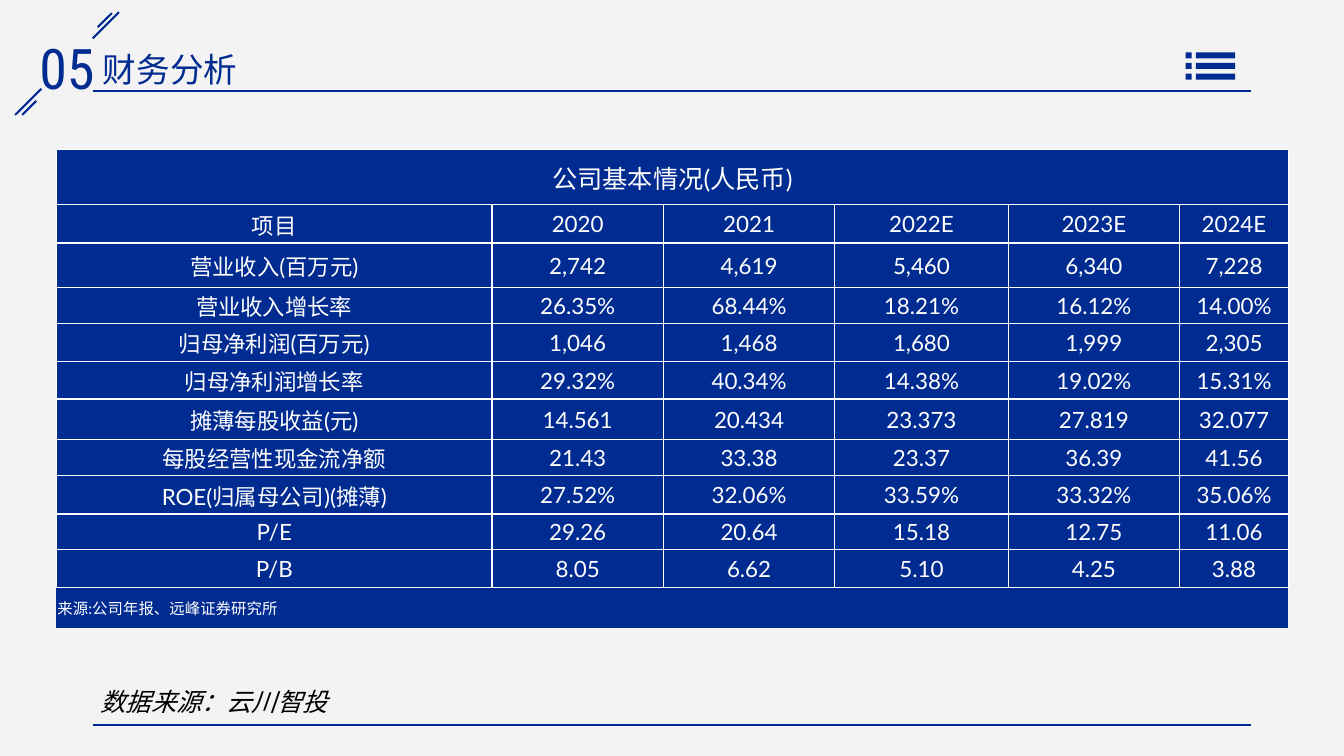
from pptx import Presentation
from pptx.dml.color import RGBColor
from pptx.enum.shapes import MSO_CONNECTOR, MSO_SHAPE
from pptx.enum.text import MSO_ANCHOR, PP_ALIGN
from pptx.oxml import parse_xml
from pptx.oxml.ns import nsdecls, qn
from pptx.util import Inches, Pt
from lxml import etree

STRAIGHT, RECTANGLE = MSO_CONNECTOR.STRAIGHT, MSO_SHAPE.RECTANGLE
TOP, MIDDLE = MSO_ANCHOR.TOP, MSO_ANCHOR.MIDDLE
LEFT, CENTER = PP_ALIGN.LEFT, PP_ALIGN.CENTER

WIDTH, HEIGHT = 13.33, 7.5
COLORS = {"navy": "002B91", "white": "FFFFFF", "paper": "F3F3F3", "black": "000000"}
CJK = "Noto Sans CJK SC"
RULE_LEFT, RULE_RIGHT = 0.92, 12.41

COLUMNS = [4.32, 1.7, 1.7, 1.72, 1.7, 1.08]
ROWS = [0.55, 0.38, 0.44, 0.36, 0.38, 0.37, 0.4, 0.36, 0.38, 0.35, 0.38, 0.4]
TABLE_TITLE = "公司基本情况(人民币)"
TABLE_SOURCE = "来源:公司年报、远峰证券研究所"
FIGURES = [
    ["项目", "2020", "2021", "2022E", "2023E", "2024E"],
    ["营业收入(百万元)", "2,742", "4,619", "5,460", "6,340", "7,228"],
    ["营业收入增长率", "26.35%", "68.44%", "18.21%", "16.12%", "14.00%"],
    ["归母净利润(百万元)", "1,046", "1,468", "1,680", "1,999", "2,305"],
    ["归母净利润增长率", "29.32%", "40.34%", "14.38%", "19.02%", "15.31%"],
    ["摊薄每股收益(元)", "14.561", "20.434", "23.373", "27.819", "32.077"],
    ["每股经营性现金流净额", "21.43", "33.38", "23.37", "36.39", "41.56"],
    ["ROE(归属母公司)(摊薄)", "27.52%", "32.06%", "33.59%", "33.32%", "35.06%"],
    ["P/E", "29.26", "20.64", "15.18", "12.75", "11.06"],
    ["P/B", "8.05", "6.62", "5.10", "4.25", "3.88"],
]


def rgb(name):
    return RGBColor.from_string(COLORS[name])


def write(frame, text, color, align=LEFT, spacing=None, **font):
    """Fill a text frame with one formatted paragraph."""
    para = frame.paragraphs[0]
    para.alignment = align
    if spacing:
        para.line_spacing = spacing
    span = para.add_run()
    span.text = text
    for name, value in font.items():
        setattr(span.font, name, value)
    span.font.color.rgb = rgb(color)
    east_asian = etree.SubElement(span._r.get_or_add_rPr(), qn("a:ea"))
    east_asian.set("typeface", CJK)


def add_text(page, box, text, color, **style):
    frame = page.shapes.add_textbox(*map(Inches, box)).text_frame
    frame.word_wrap = True
    frame.vertical_anchor = TOP
    write(frame, text, color, **style)


def add_line(page, start, end):
    line = page.shapes.add_connector(STRAIGHT, *map(Inches, start + end))
    line.line.color.rgb = rgb("navy")
    line.line.width = Pt(1.5)
    etree.SubElement(line._element.spPr, qn("a:effectLst"))


def add_rule(page, y):
    add_line(page, (RULE_LEFT, y), (RULE_RIGHT, y))


def add_slash(page, left, bottom, size):
    """Draw a 45 degree stroke rising from its lower left end."""
    add_line(page, (left + size, bottom - size), (left, bottom))


def add_header(page, left, top):
    # Section number with paired strokes at two corners
    add_text(page, (left, top, 0.83, 0.77), "05", "navy", align=CENTER,
             size=Pt(40), name="Roboto Condensed")
    for dx, dy, size in [(0.67, 0.1, 0.26), (0.72, -0.01, 0.14),
                         (-0.1, 0.86, 0.26), (-0.03, 0.86, 0.14)]:
        add_slash(page, left + dx, top + dy, size)

    # Title and rule
    title = page.shapes.title
    place = dict(left=left + 0.67, top=top + 0.1, width=3.76, height=0.54)
    for name, value in place.items():
        setattr(title, name, Inches(value))
    title.text_frame.vertical_anchor = MIDDLE
    write(title.text_frame, "财务分析", "navy", spacing=1.2, size=Pt(24), name=CJK)
    add_rule(page, top + 0.62)


def add_menu_icon(page, left, top):
    """Three rows, each a square bullet and a bar."""
    for row in range(3):
        for dx, width in [(0, 0.06), (0.1, 0.39)]:
            box = (left + dx, top + row * 0.105, width, 0.06)
            bar = page.shapes.add_shape(RECTANGLE, *map(Inches, box))
            bar.shadow.inherit = False
            bar.fill.solid()
            bar.fill.fore_color.rgb = rgb("navy")
            bar.line.fill.background()


def set_borders(cell, sides):
    properties = cell._tc.get_or_add_tcPr()
    for index, side in enumerate(("L", "R", "T", "B")):
        paint = (f'<a:solidFill><a:srgbClr val="{COLORS["white"]}"/></a:solidFill>'
                 if side in sides else "<a:noFill/>")
        border = parse_xml(f'<a:ln{side} {nsdecls("a")} w="12700">{paint}</a:ln{side}>')
        properties.insert(index, border)


def format_cell(cell, borders):
    margins = dict(margin_left=0.01, margin_right=0.01, margin_top=0.01, margin_bottom=0)
    for name, value in margins.items():
        setattr(cell, name, Inches(value))
    cell.vertical_anchor = MIDDLE
    cell.fill.solid()
    cell.fill.fore_color.rgb = rgb("navy")
    set_borders(cell, borders)


def add_figures(page, left, top):
    box = (left, top, sum(COLUMNS), sum(ROWS))
    table = page.shapes.add_table(len(ROWS), len(COLUMNS), *map(Inches, box)).table
    table.first_row = table.horz_banding = False
    for column, width in zip(table.columns, COLUMNS):
        column.width = Inches(width)
    for row, height in zip(table.rows, ROWS):
        row.height = Inches(height)

    # Full-width first and last rows
    last = len(ROWS) - 1
    for row in (0, last):
        table.cell(row, 0).merge(table.cell(row, len(COLUMNS) - 1))

    lines = [[TABLE_TITLE]] + FIGURES + [[TABLE_SOURCE]]
    for row, line in enumerate(lines):
        for column in range(len(COLUMNS)):
            format_cell(table.cell(row, column), "T" if row == last else "LRTB")
        size = {0: 18, last: 11}.get(row, 16)
        for column, text in enumerate(line):
            write(table.cell(row, column).text_frame, text, "white",
                  align=LEFT if row == last else CENTER, size=Pt(size), name="Lato")


def add_footer(page, left, top):
    add_text(page, (left, top, 3, 0.4), "数据来源：云川智投", "black",
             size=Pt(18), name="Lato", italic=True)
    add_rule(page, top + 0.43)


def main():
    deck = Presentation()
    deck.slide_width, deck.slide_height = Inches(WIDTH), Inches(HEIGHT)
    page = deck.slides.add_slide(deck.slide_layouts[5])
    page.background.fill.solid()
    page.background.fill.fore_color.rgb = rgb("paper")
    add_header(page, 0.25, 0.28)
    add_menu_icon(page, 11.76, 0.52)
    add_figures(page, 0.56, 1.48)
    add_footer(page, 0.9, 6.76)
    deck.save("out.pptx")


if __name__ == "__main__":
    main()
